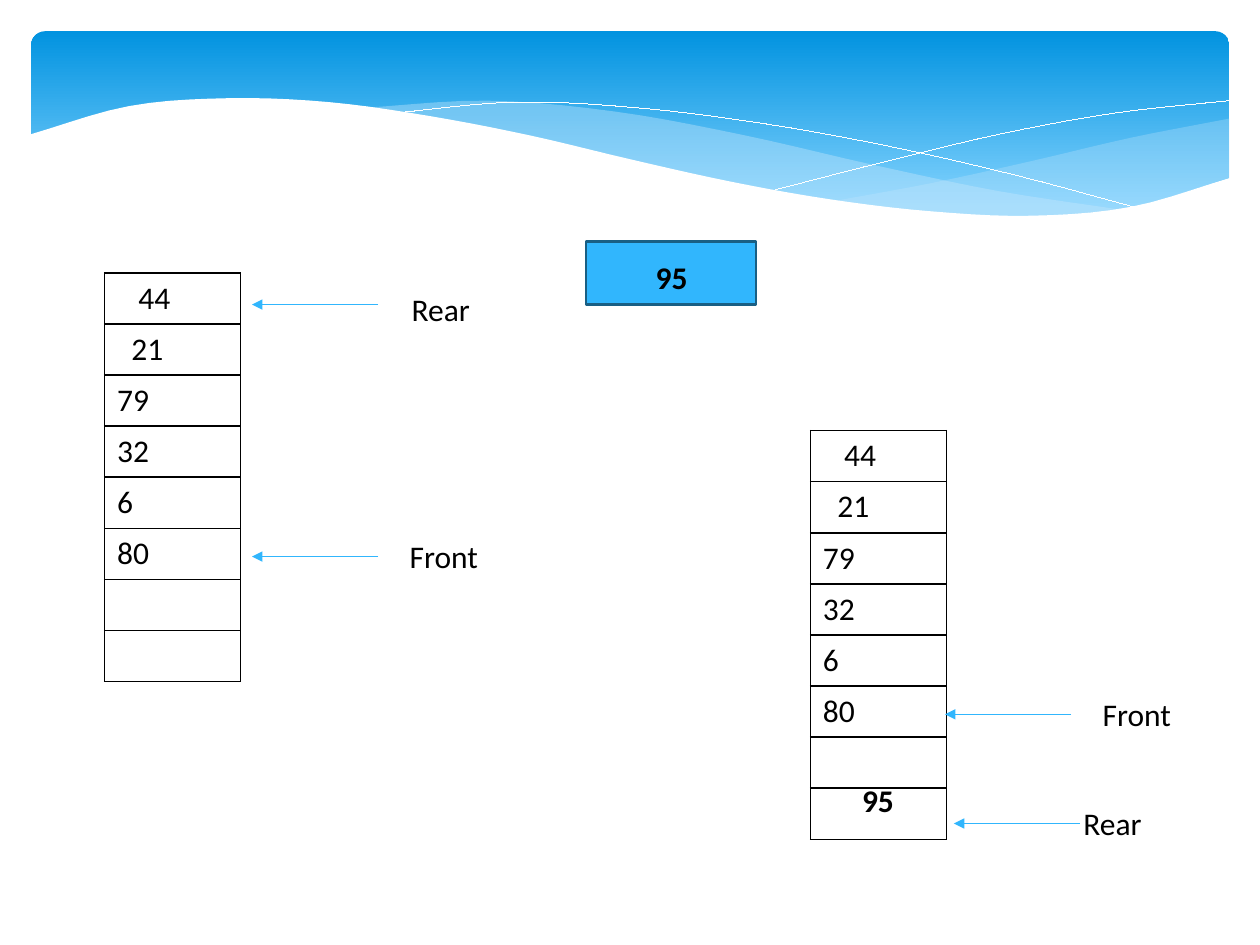
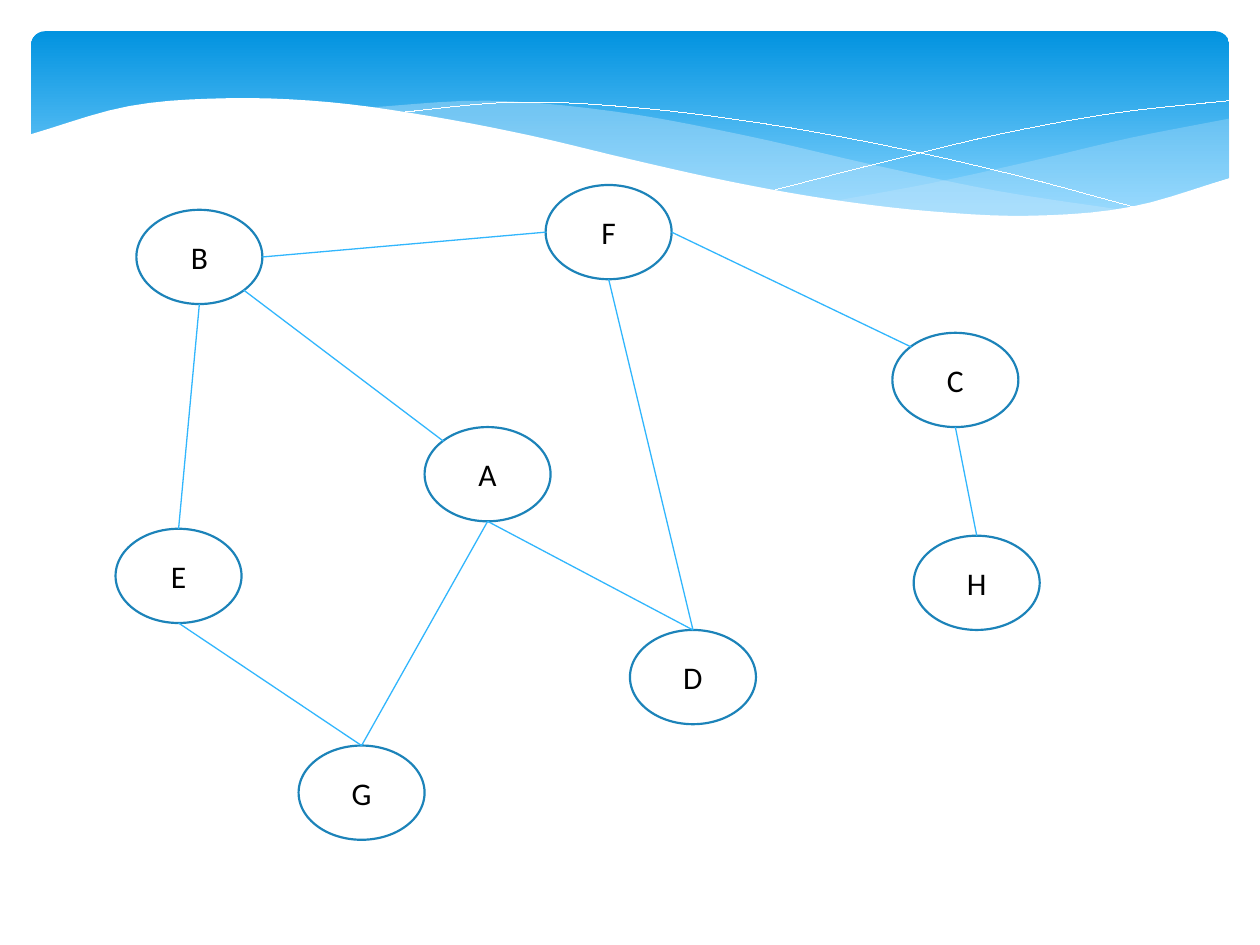
from lxml import etree
from pptx import Presentation
from pptx.dml.color import RGBColor
from pptx.enum import shapes, text
from pptx.oxml import ns
from pptx.util import Cm, Pt

BAND_TOP = RGBColor(0x02, 0x93, 0xE0)
BAND_BOTTOM = RGBColor(0x83, 0xD3, 0xFE)
SWELL = RGBColor(0xC6, 0xE7, 0xFC)
SKY = RGBColor(0x31, 0xB6, 0xFD)
ITEM_EDGE = RGBColor(0x19, 0x5F, 0x84)
NODE_EDGE = RGBColor(0x1C, 0x83, 0xB9)
WHITE = RGBColor(0xFF, 0xFF, 0xFF)
BLACK = RGBColor(0, 0, 0)
LEFT, CENTER = text.PP_ALIGN.LEFT, text.PP_ALIGN.CENTER
CURVE_STEPS = 5


def write(frame, words, align=LEFT, bold=False):
    paragraph = frame.paragraphs[0]
    paragraph.text = words
    paragraph.alignment = align
    paragraph.font.name = "Calibri"
    paragraph.font.size = Pt(18)
    paragraph.font.bold = bold
    paragraph.font.color.rgb = BLACK


def draw_line(slide, start, end):
    connector = slide.shapes.add_connector(
        shapes.MSO_CONNECTOR.STRAIGHT, *map(Cm, start + end))
    connector.line.color.rgb = SKY
    connector.line.width = Pt(0.75)
    etree.SubElement(connector.element.spPr, ns.qn("a:effectLst"))
    return connector


prs = Presentation()
prs.slide_width, prs.slide_height = Cm(25.4), Cm(19.05)
layout = prs.slide_layouts[6]
for placeholder in list(layout.placeholders):
    layout.shapes.element.remove(placeholder.element)
queue = prs.slides.add_slide(layout)
graph = prs.slides.add_slide(layout)

band = queue.shapes.add_shape(
    shapes.MSO_SHAPE.ROUNDED_RECTANGLE, Cm(0.63), Cm(0.63), Cm(24.15), Cm(3.96))
band.adjustments[0] = 0.07
band.fill.gradient()
band.fill.gradient_angle = 270
top_stop, bottom_stop = band.fill.gradient_stops
top_stop.color.rgb = BAND_TOP
bottom_stop.color.rgb = BAND_BOTTOM
bottom_stop.position = 0.9
band.line.fill.background()
backdrop = [band]

# Each wave: left, right, heights of upper edge, heights of lower edge, opacity
waves = [
    (16.79, 24.79, [4.06, 3.69, 3.25, 2.78, 2.39],
     [4.06, 4.28, 4.36, 4.19, 3.58], SWELL, 29),
    (7.26, 22.68, [2.18, 2.03, 2.25, 2.72, 3.31, 3.85, 4.24],
     [2.18, 2.61, 3.18, 3.75, 4.18, 4.38, 4.24], SWELL, 40),
    (7.85, 23.04, [2.29, 2.06, 2.18, 2.5, 2.96, 3.54, 4.22], [], None, 100),
    (15.57, 24.77, [3.84, 3.25, 2.7, 2.28, 2.03], [], None, 100),
    (0.58, 24.82, [2.72, 2.14, 1.98, 2.06, 2.34, 2.73, 3.21, 3.66, 4.02,
                   4.26, 4.35, 4.17, 3.58], [5.69, 5.69], WHITE, 100),
]
for left, right, upper, lower, color, opacity in waves:
    outline = []
    for heights, start, end in ((upper, left, right), (lower[::-1], right, left)):
        last = len(heights) - 1
        for step in range(last * CURVE_STEPS + 1 if heights else 0):
            knot = min(step // CURVE_STEPS, last - 1)
            t = step / CURVE_STEPS - knot
            here, following = heights[knot], heights[knot + 1]
            before = heights[knot - 1] if knot else 2 * here - following
            after = heights[knot + 2] if knot + 2 <= last else 2 * following - here
            slope_in, slope_out = (following - before) / 2, (after - here) / 2
            y = (here + slope_in * t
                 + (3 * (following - here) - 2 * slope_in - slope_out) * t ** 2
                 + (2 * (here - following) + slope_in + slope_out) * t ** 3)
            x = start + (end - start) * step / (last * CURVE_STEPS)
            outline.append((Cm(x), Cm(y)))
    builder = queue.shapes.build_freeform(*outline[0])
    builder.add_line_segments(outline[1:], close=bool(lower))
    wave = builder.convert_to_shape()
    if color is None:
        wave.fill.background()
        wave.line.color.rgb = WHITE
        wave.line.width = Pt(0.01)
    else:
        wave.fill.solid()
        wave.fill.fore_color.rgb = color
        wave.line.fill.background()
    if opacity < 100:
        tint = wave.element.spPr.find(".//" + ns.qn("a:srgbClr"))
        etree.SubElement(tint, ns.qn("a:alpha"), val=str(opacity * 1000))
    backdrop.append(wave)

for part in backdrop:
    part.shadow.inherit = False
    layout.shapes.element.append(part.element)

row_height, cell_margin = 1.03, 0.25
queue_values = [("44", 0.43), ("21", 0.29), ("79", 0), ("32", 0),
                ("6", 0), ("80", 0), ("", 0), ("", 0)]
for left, top in [(2.11, 5.5), (16.34, 8.68)]:
    stack = queue.shapes.add_table(
        len(queue_values), 1, Cm(left), Cm(top), Cm(2.74),
        Cm(row_height * len(queue_values))).table
    stack.first_row = stack.horz_banding = False
    for row, (value, indent) in zip(stack.rows, queue_values):
        row.height = Cm(row_height)
        cell = row.cells[0]
        cell.margin_left = Cm(cell_margin + indent)
        write(cell.text_frame, value)
        for side in ("a:lnL", "a:lnR", "a:lnT", "a:lnB"):
            border = etree.SubElement(
                cell._tc.get_or_add_tcPr(), ns.qn(side), w=str(Pt(1)))
            ink = etree.SubElement(border, ns.qn("a:solidFill"))
            etree.SubElement(ink, ns.qn("a:srgbClr"), val=str(BLACK))
        cell.fill.background()

new_item = queue.shapes.add_shape(
    shapes.MSO_SHAPE.RECTANGLE, Cm(11.81), Cm(4.87), Cm(3.43), Cm(1.27))
new_item.shadow.inherit = False
new_item.fill.solid()
new_item.fill.fore_color.rgb = SKY
new_item.line.color.rgb = ITEM_EDGE
new_item.line.width = Pt(1.25)

labels = [("Rear", 8.05, 5.72), ("Front", 8.01, 10.7),
          ("Front", 21.98, 13.88), ("Rear", 21.59, 16.08),
          ("95", 12.27, 5.08), ("95", 16.43, 15.62)]
for words, left, top in labels:
    is_item = words == "95"
    label = queue.shapes.add_textbox(
        Cm(left), Cm(top), Cm(2.54 if is_item else 3.81), Cm(1.03))
    label.text_frame.word_wrap = True
    label.text_frame.auto_size = text.MSO_AUTO_SIZE.SHAPE_TO_FIT_TEXT
    write(label.text_frame, words, CENTER if is_item else LEFT, is_item)

pointer_length = 2.54
for tip, y in [(5.08, 6.14), (5.08, 11.22), (19.05, 14.4), (19.23, 16.6)]:
    pointer = draw_line(queue, (tip + pointer_length, y), (tip, y))
    stroke = pointer.element.spPr.find(ns.qn("a:ln"))
    etree.SubElement(stroke, ns.qn("a:tailEnd"), type="triangle")

node_width, node_height = 2.54, 1.9
node_corners = {
    "B": (2.75, 4.23), "G": (6.02, 15.03), "E": (2.33, 10.66),
    "A": (8.56, 8.61), "D": (12.7, 12.7), "F": (11, 3.73),
    "H": (18.42, 10.8), "C": (17.99, 6.71)}
for letter, (left, top) in node_corners.items():
    node = graph.shapes.add_shape(
        shapes.MSO_SHAPE.FLOWCHART_CONNECTOR,
        Cm(left), Cm(top), Cm(node_width), Cm(node_height))
    node.shadow.inherit = False
    node.fill.solid()
    node.fill.fore_color.rgb = WHITE
    node.line.color.rgb = NODE_EDGE
    node.line.width = Pt(1.25)
    node.text_frame.vertical_anchor = text.MSO_ANCHOR.MIDDLE
    write(node.text_frame, letter, CENTER)

rim = {"top": (0.5, 0), "top left": (0.15, 0.15), "left": (0, 0.5),
       "bottom": (0.5, 1), "bottom right": (0.85, 0.85), "right": (1, 0.5)}
edges = [
    ("B", "right", "F", "left"), ("B", "bottom", "E", "top"),
    ("E", "bottom", "G", "top"), ("G", "top", "A", "bottom"),
    ("B", "bottom right", "A", "top left"), ("F", "right", "C", "top left"),
    ("C", "bottom", "H", "top"), ("A", "bottom", "D", "top"),
    ("D", "top", "F", "bottom")]
for first, leave, second, arrive in edges:
    ends = []
    for letter, side in ((first, leave), (second, arrive)):
        left, top = node_corners[letter]
        across, down = rim[side]
        ends.append((left + across * node_width, top + down * node_height))
    draw_line(graph, *ends)

prs.save("out.pptx")
